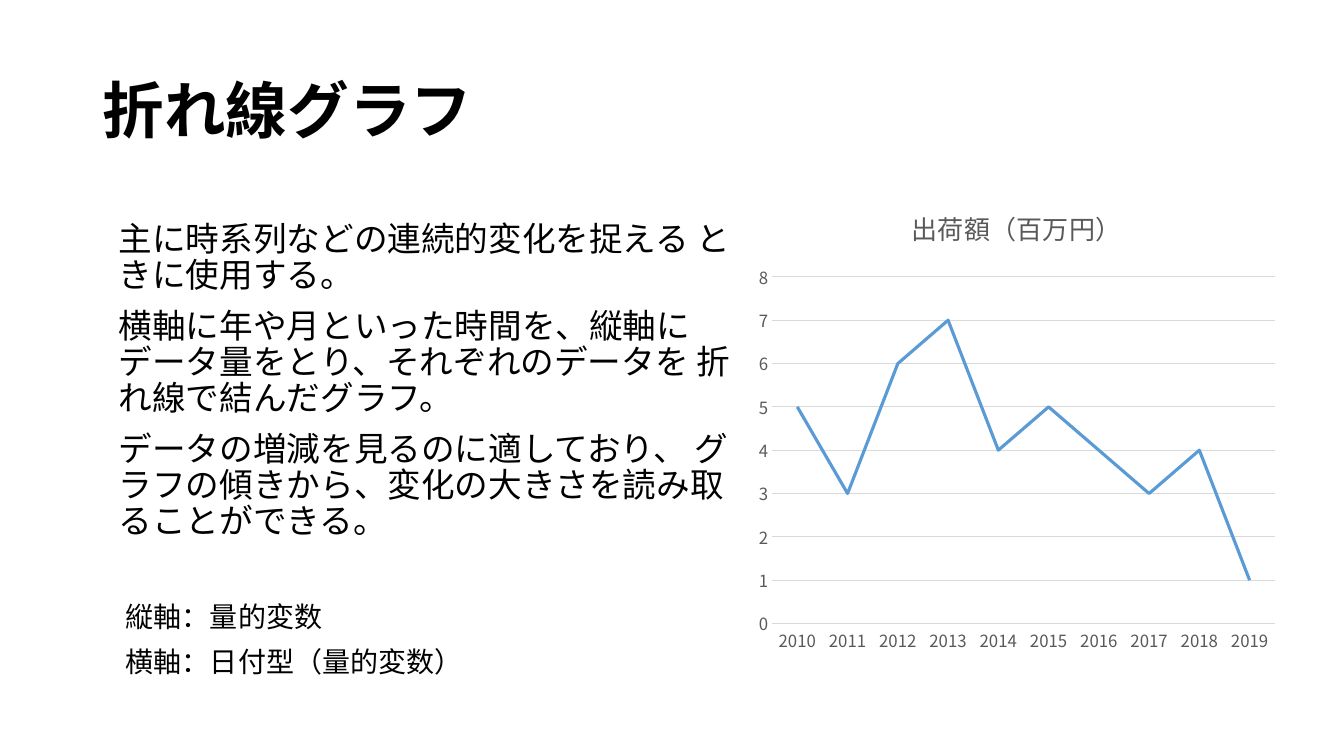
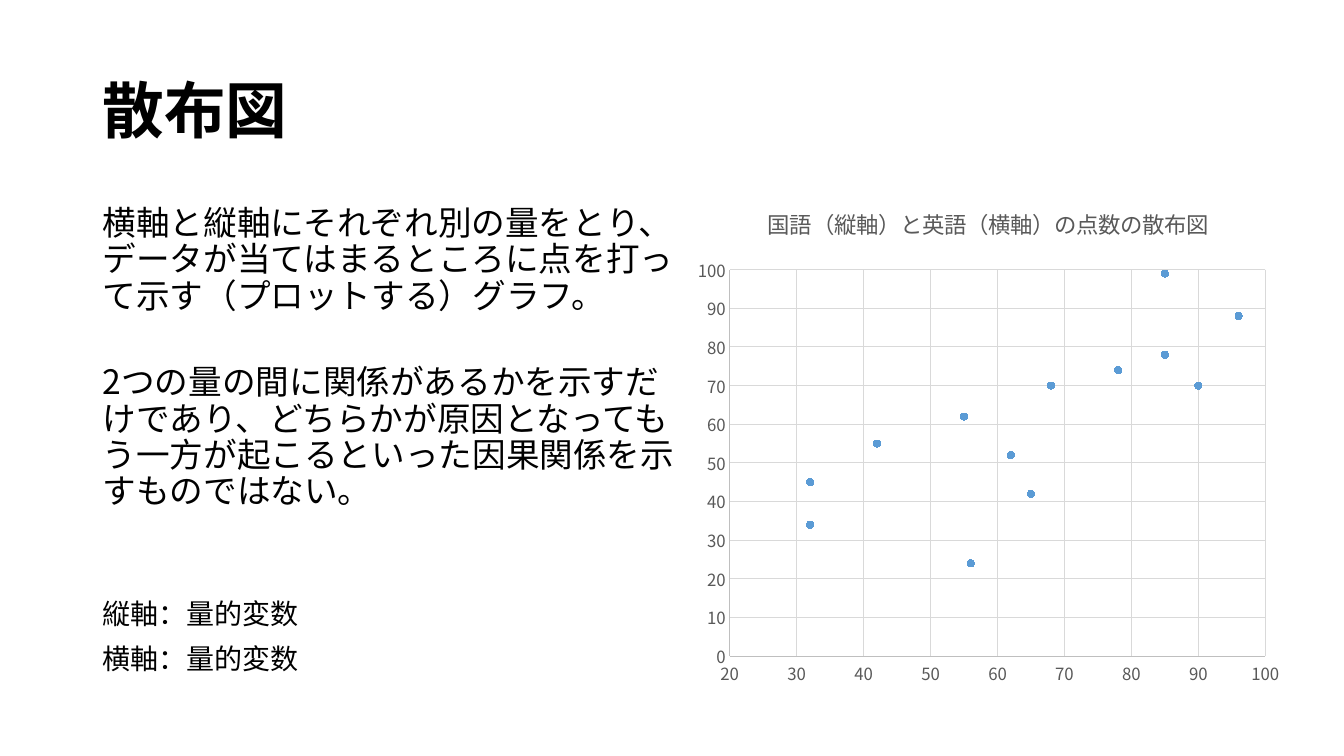
from dataclasses import dataclass

from lxml.etree import SubElement
from pptx import Presentation
from pptx.chart.data import CategoryChartData, XyChartData
from pptx.dml.color import RGBColor as RGB
from pptx.enum.chart import XL_CHART_TYPE as CT, XL_MARKER_STYLE as MS, XL_TICK_MARK as TM
from pptx.enum.text import MSO_ANCHOR as ANC
from pptx.oxml.ns import qn
from pptx.util import Inches, Pt


@dataclass(frozen=True)
class Theme:
    font: str = "Noto Sans CJK JP"
    text: RGB = RGB.from_string("000000")
    muted: RGB = RGB.from_string("595959")
    grid: RGB = RGB.from_string("D9D9D9")
    axis: RGB = RGB.from_string("BFBFBF")
    accent: RGB = RGB.from_string("5B9BD5")
    title: int = 44
    body: int = 24
    note: int = 20
    label: int = 12
    gap: int = 10
    leading: float = 0.9


T = Theme()
TITLE_BOX = (0.92, 0.4, 11.5, 1.45)

# Content: boxes are left, top, width, height in inches
SLIDES = [
    dict(
        title="折れ線グラフ",
        body=["主に時系列などの連続的変化を捉える ときに使用する。",
              "横軸に年や月といった時間を、縦軸にデータ量をとり、それぞれのデータを 折れ線で結んだグラフ。",
              "データの増減を見るのに適しており、 グラフの傾きから、変化の大きさを読み取ることができる。"],
        body_box=(1.08, 2.16, 6.27, 3.78), body_gap=T.gap,
        notes=["縦軸：量的変数", "横軸：日付型（量的変数）"],
        notes_box=(1.15, 5.94, 6.27, 1.14),
        chart=dict(kind=CT.LINE, title="出荷額（百万円）", size=18.6,
                   box=(7.42, 1.85, 5.33, 4.72),
                   x=[str(year) for year in range(2010, 2020)],
                   y=[5, 3, 6, 7, 4, 5, 4, 3, 4, 1],
                   y_range=(0, 8, 1)),
    ),
    dict(
        title="散布図",
        body=["横軸と縦軸にそれぞれ別の量をとり、データが当てはまるところに点を打って示す（プロットする）グラフ。",
              "2つの量の間に関係があるかを示すだけであり、どちらかが原因となってもう一方が起こるといった因果関係を示すものではない。"],
        body_box=(0.92, 2, 5.89, 4.16), body_gap=36,
        notes=["縦軸：量的変数", "横軸：量的変数"],
        notes_box=(0.92, 5.91, 6.27, 1.14),
        chart=dict(kind=CT.XY_SCATTER, title="国語（縦軸）と英語（横軸）の点数の散布図", size=16,
                   box=(6.8, 1.85, 6.01, 5.05),
                   x=[90, 55, 32, 85, 65, 32, 78, 56, 62, 42, 96, 85, 68],
                   y=[70, 62, 45, 99, 42, 34, 74, 24, 52, 55, 88, 78, 70],
                   x_range=(20, 100, 10), y_range=(0, 100, 10)),
    ),
]


def set_font(font, size, color, bold=False):
    font.name, font.size, font.bold = T.font, Pt(size), bold
    font.color.rgb = color


def use_east_asian(root):
    """Give Japanese text the same typeface as Latin text."""
    for latin in list(root.iter(qn("a:latin"))):
        ea = SubElement(latin.getparent(), qn("a:ea"), typeface=T.font)
        latin.addnext(ea)


def add_text(s, box, lines, size, gap=T.gap, bold=False, anchor=ANC.TOP):
    tf = s.shapes.add_textbox(*map(Inches, box)).text_frame
    tf.word_wrap, tf.vertical_anchor = True, anchor
    for i, line in enumerate(lines):
        p = tf.add_paragraph() if i else tf.paragraphs[0]
        p.text, p.line_spacing = line, T.leading
        p.space_before = Pt(gap if i else 0)
        set_font(p.font, size, T.text, bold)


def style_line(line, color, width=0.75):
    line.color.rgb, line.width = color, Pt(width)


def style_axis(axis, color, grid, limits=None):
    axis.major_tick_mark = axis.minor_tick_mark = TM.NONE
    set_font(axis.tick_labels.font, T.label, T.muted)
    axis.has_major_gridlines = grid
    if grid:
        style_line(axis.major_gridlines.format.line, T.grid)
    if color:
        style_line(axis.format.line, color)
    else:
        axis.format.line.fill.background()
    if limits:
        axis.minimum_scale, axis.maximum_scale, axis.major_unit = limits


def add_graph(s, c):
    scatter = c["kind"] == CT.XY_SCATTER
    if scatter:
        data = XyChartData()
        points = data.add_series("Series 1")
        for x, y in zip(c["x"], c["y"]):
            points.add_data_point(x, y)
    else:
        data = CategoryChartData()
        data.categories = c["x"]
        data.add_series("Series 1", c["y"])
    chart = s.shapes.add_chart(c["kind"], *map(Inches, c["box"]), data).chart
    set_font(chart.font, T.label, T.muted)
    chart.has_legend = False
    chart.has_title = True
    p = chart.chart_title.text_frame.paragraphs[0]
    p.text = c["title"]
    set_font(p.font, c["size"], T.muted)
    chart.chart_title.include_in_layout = False

    # Axes
    style_axis(chart.category_axis, T.axis if scatter else T.grid, scatter, c.get("x_range"))
    style_axis(chart.value_axis, T.axis if scatter else None, True, c["y_range"])

    # Series
    plot = chart.plots[0]
    plot.vary_by_categories = False
    series = plot.series[0]
    if scatter:
        series.format.line.fill.background()
        series.marker.style, series.marker.size = MS.CIRCLE, 5
        series.marker.format.fill.solid()
        series.marker.format.fill.fore_color.rgb = T.accent
        style_line(series.marker.format.line, T.accent)
    else:
        series.smooth = False
        series.marker.style = MS.NONE
        style_line(series.format.line, T.accent, 2.25)
    use_east_asian(chart.element if hasattr(chart, "element") else chart._chartSpace)


def main():
    prs = Presentation()
    prs.slide_width, prs.slide_height = Inches(13.33), Inches(7.5)
    for content in SLIDES:
        s = prs.slides.add_slide(prs.slide_layouts[6])
        add_text(s, TITLE_BOX, [content["title"]], T.title, bold=True, anchor=ANC.MIDDLE)
        add_graph(s, content["chart"])
        add_text(s, content["body_box"], content["body"], T.body, content["body_gap"])
        add_text(s, content["notes_box"], content["notes"], T.note)
        use_east_asian(s.element)
    prs.save("out.pptx")


if __name__ == "__main__":
    main()
